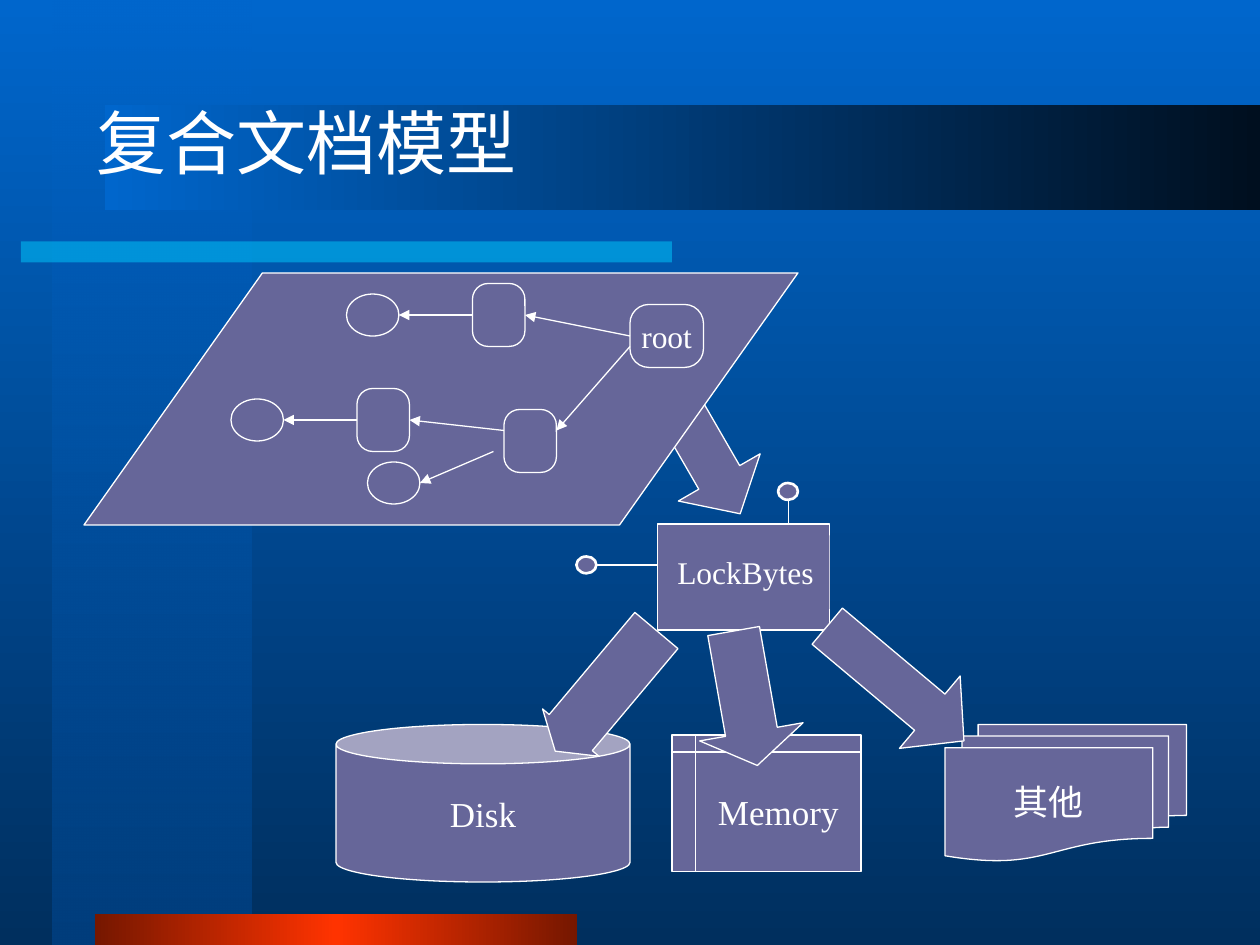
from pptx import Presentation
from pptx.dml.color import RGBColor
from pptx.enum.shapes import MSO_CONNECTOR, MSO_SHAPE
from pptx.enum.text import MSO_ANCHOR, PP_ALIGN
from pptx.oxml.ns import qn
from pptx.util import Inches, Pt
from lxml.etree import SubElement

RECT, ROUND, OVAL = MSO_SHAPE.RECTANGLE, MSO_SHAPE.ROUNDED_RECTANGLE, MSO_SHAPE.OVAL
SLANT, ARROW, CAN = MSO_SHAPE.PARALLELOGRAM, MSO_SHAPE.DOWN_ARROW, MSO_SHAPE.CAN
STORE, DOCS = MSO_SHAPE.FLOWCHART_INTERNAL_STORAGE, MSO_SHAPE.FLOWCHART_MULTIDOCUMENT
STRAIGHT = MSO_CONNECTOR.STRAIGHT
LEFT, CENTER, MIDDLE = PP_ALIGN.LEFT, PP_ALIGN.CENTER, MSO_ANCHOR.MIDDLE
FONT, WHITE, MAUVE = "Times New Roman", "FFFFFF", "666699"
SIDE_L, SIDE_R = 1, 3


def cell(n):
    """Length of n grid cells, twelve to the inch."""
    return Inches(n / 12)


def color(text):
    return RGBColor.from_string(text)


def fade(tint, share):
    SubElement(tint, qn("a:alpha")).set("val", str(share * 1000))


def blend(fill, owner, stops, angle):
    """Gradient of (percent, colour, opacity) stops, angle clockwise."""
    fill.gradient()
    grad = next(owner.iter(qn("a:gradFill")))
    group = grad.find(qn("a:gsLst"))
    for old in list(group):
        group.remove(old)
    for spot, tint, share in stops:
        stop = SubElement(group, qn("a:gs"), pos=str(spot * 1000))
        mark = SubElement(stop, qn("a:srgbClr"), val=tint)
        if share < 100:
            fade(mark, share)
    grad.find(qn("a:lin")).set("ang", str(angle * 60000))


def write(shape, text, size, align=CENTER, wrap=False):
    frame = shape.text_frame
    frame.text = text
    frame.word_wrap = wrap
    frame.vertical_anchor = MIDDLE
    para = frame.paragraphs[0]
    para.alignment = align
    font = para.runs[0].font
    for key, value in {"name": FONT, "size": Pt(size), "bold": False}.items():
        setattr(font, key, value)
    font.color.rgb = color(WHITE)


def put(slide, kind, box, at, line=0.75, adj=(), turn=0, text="", size=20):
    """Add a shape; at is its cell frame relative to the box."""
    x, y, w, h = at
    shape = slide.shapes.add_shape(
        kind, cell(box[0] + x), cell(box[1] + y), cell(w), cell(h))
    shape.shadow.inherit = False
    shape.fill.solid()
    shape.fill.fore_color.rgb = color(MAUVE)
    if line:
        shape.line.color.rgb = color(WHITE)
        shape.line.width = Pt(line)
    else:
        shape.line.fill.background()
    for i, value in enumerate(adj):
        shape.adjustments[i] = value
    shape.rotation = turn
    if text:
        write(shape, text, size)
    return shape


def link(slide, box, start, end, head=True, out=None, into=None):
    """Line between two cells; out and into are shapes joined at the sides."""
    ends = [cell(box[i % 2] + n) for i, n in enumerate(start + end)]
    wire = slide.shapes.add_connector(STRAIGHT, *ends)
    if out:
        wire.begin_connect(out, SIDE_L)
    if into:
        wire.end_connect(into, SIDE_R)
    wire.line.color.rgb = color(WHITE)
    wire.line.width = Pt(0.75)
    if head:
        SubElement(wire.line._get_or_add_ln(), qn("a:tailEnd"), type="triangle")
    SubElement(wire.element.spPr, qn("a:effectLst"))


def backdrop(slide, box):
    blend(slide.background.fill, slide.element,
          [(0, "0066CC", 100), (100, "002F5E", 100)], 90)
    bars = [
        ((5, 0, 19, 90), [(0, "0066CC", 50), (100, "003E7D", 100)], 90),
        ((2, 23, 62, 2), None, 0),
        ((9, 87, 46, 3),
         [(0, "751700", 100), (50, "FF3300", 100), (100, "751700", 100)], 180),
        ((10, 10, 110, 10), [(0, "000F1F", 100), (100, "0066CC", 100)], 180),
    ]
    for at, stops, angle in bars:
        bar = put(slide, RECT, box, at, line=0)
        if stops:
            blend(bar.fill, bar.element, stops, angle)
        else:
            bar.fill.fore_color.rgb = color("00CCFF")
            fade(next(bar.element.spPr.iter(qn("a:srgbClr"))), 50)


def heading(slide, box, text):
    title = slide.shapes.title
    for key, n in zip(("left", "top", "width", "height"), box):
        setattr(title, key, cell(n))
    write(title, text, 40, LEFT, True)
    title.element.getparent().append(title.element)


def hub(slide, box):
    """Byte layer with its two interface pins."""
    put(slide, ARROW, box, (-0.6, -15.9, 9, 16), adj=(0.5, 0.444), turn=330)
    link(slide, box, (-5.7, 3.9), (0, 3.9), head=False)
    put(slide, RECT, box, (0, 0, *box[2:]))
    for x, y in ((-7.7, 3.1), (11.5, -3.9)):
        put(slide, OVAL, box, (x, y, 1.9, 1.6), line=1.5)
    link(slide, box, (12.5, -2.3), (12.5, 0), head=False)
    put(slide, RECT, box, (0.4, 1.1, 16, 7), line=0, text="LockBytes", size=18)


def tree(slide, box):
    """Storages and streams under the root."""
    put(slide, SLANT, box, (0, 0, *box[2:]), adj=(0.708,))
    root = put(slide, ROUND, box, (52, 3, 7, 6), adj=(0.3,), text="root", size=18)
    top, mid, low = [put(slide, ROUND, box, (x, y, 5, 6), adj=(0.3,))
                     for x, y in ((37, 1), (40, 13), (26, 11))]
    for x, y in ((25, 2), (14, 12), (27, 18)):
        put(slide, OVAL, box, (x, y, 5, 4))
    for start, end, out, into in (
            ((52, 6), (42, 4), root, top),
            ((52, 7), (45, 15), None, None),
            ((37, 4), (30, 4), top, None),
            ((39, 17), (32, 20), None, None),
            ((40, 15), (31, 14), None, low),
            ((26, 14), (19, 14), low, None)):
        link(slide, box, start, end, out=out, into=into)


def media(slide, box):
    """Targets for the bytes, each with the arrow that leads to it."""
    for kind, text, at, way, adj, turn in (
            (CAN, "Disk", (0, 0, 28, 15), (22.2, -10.7, 7, 15), (0.766, 0.329), 40),
            (DOCS, "其他", (58, 0, 23, 13), (48.8, -12.4, 9, 17), (0.5, 0.472), 310),
            (STORE, "Memory", (32, 1, 18, 13), (34, -9, 10, 13), (0.5, 0.325), 350)):
        put(slide, kind, box, at, text=text)
        put(slide, ARROW, box, way, adj=adj, turn=turn)


def main():
    deck = Presentation()
    deck.slide_width, deck.slide_height = cell(120), cell(90)
    slide = deck.slides.add_slide(deck.slide_layouts[5])
    backdrop(slide, (0, 0, 120, 90))
    hub(slide, (62.6, 49.9, 16.4, 10.1))
    heading(slide, (8, 7, 102, 13), "复合文档模型")
    tree(slide, (8, 26, 68, 24))
    media(slide, (32, 69, 81, 15))
    deck.save("out.pptx")


if __name__ == "__main__":
    main()
